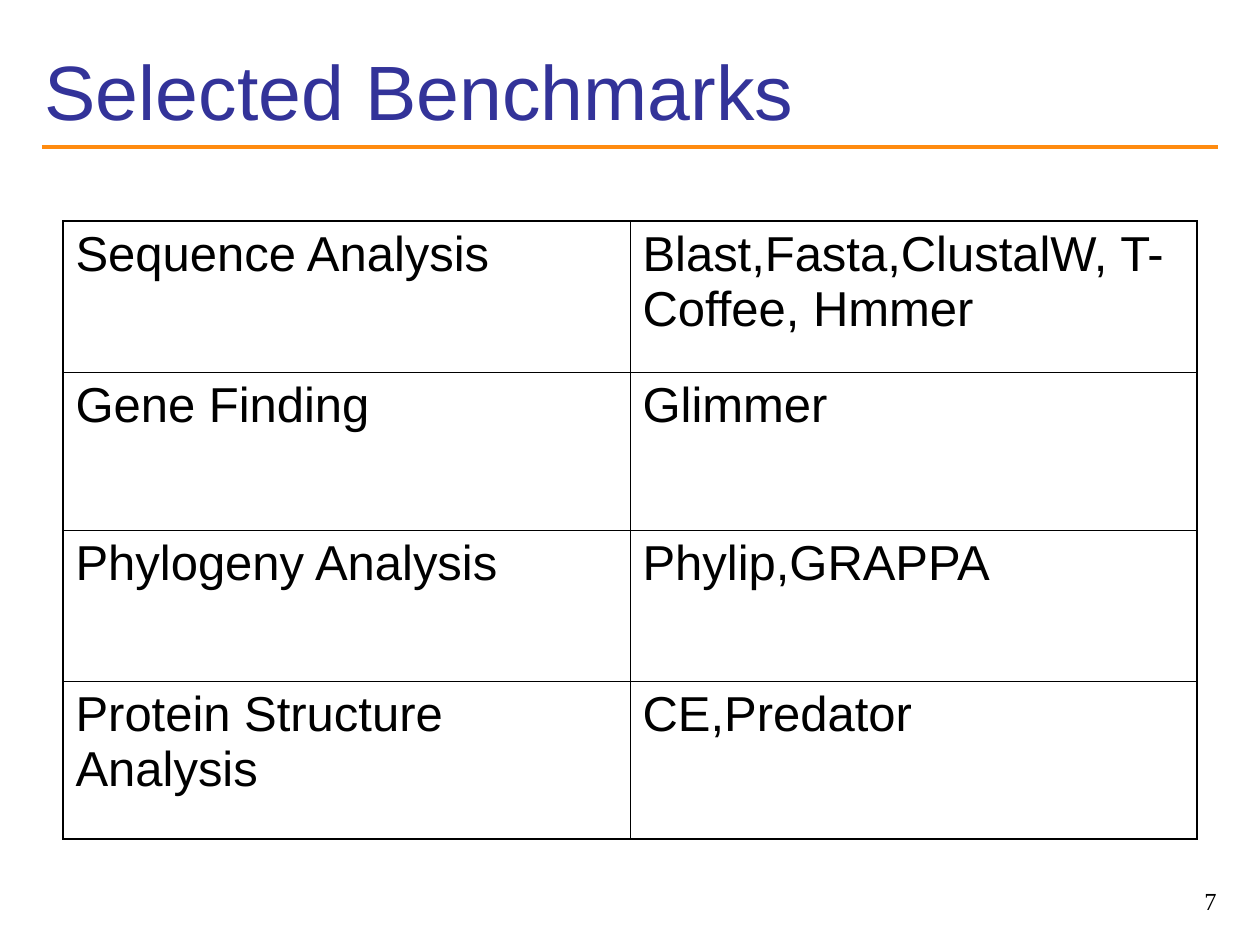
from lxml.etree import SubElement
from pptx import Presentation
from pptx.dml.color import RGBColor
from pptx.enum.shapes import MSO_CONNECTOR
from pptx.enum.text import MSO_ANCHOR, PP_ALIGN
from pptx.oxml.ns import qn
from pptx.util import Emu, Pt

PX_PER_INCH = 126
THIN, THICK = 0.45, 1.08
BENCHMARKS = [
    ("Sequence Analysis", "Blast,Fasta,ClustalW, T-Coffee, Hmmer"),
    ("Gene Finding", "Glimmer"),
    ("Phylogeny Analysis", "Phylip,GRAPPA"),
    ("Protein Structure Analysis", "CE,Predator"),
]


def px(n):
    return Emu(round(n * 914400 / PX_PER_INCH))


def rgb(value):
    return RGBColor.from_string(value)


def write(tf, text, size=28, font="Arial", color="000000",
          align=PP_ALIGN.LEFT, anchor=MSO_ANCHOR.TOP, before=0):
    tf.word_wrap = True
    tf.vertical_anchor = anchor
    p = tf.paragraphs[0]
    p.alignment = align
    p.space_before = Pt(before)
    r = p.add_run()
    r.text = text
    r.font.size = Pt(size)
    r.font.name = font
    r.font.bold = False
    r.font.color.rgb = rgb(color)


def set_borders(cell, widths, color="000000"):
    """Draw the cell's borders; widths are points for left, right, top, bottom."""
    tc_pr = cell._tc.get_or_add_tcPr()
    for side, width in zip("LRTB", widths):
        ln = SubElement(tc_pr, qn(f"a:ln{side}"), w=str(Pt(width)))
        fill = SubElement(ln, qn("a:solidFill"))
        SubElement(fill, qn("a:srgbClr"), val=color)


class SlideBuilder:
    title_color = "333399"
    rule_color = "FF8B0F"

    def __init__(self, prs):
        self.s = prs.slides.add_slide(prs.slide_layouts[5])

    def title(self, text, x, y, w, h):
        sp = self.s.shapes.title
        sp.left, sp.top, sp.width, sp.height = map(px, (x, y, w, h))
        write(sp.text_frame, text, size=44, color=self.title_color,
              anchor=MSO_ANCHOR.MIDDLE)

    def rule(self, x1, x2, y):
        line = self.s.shapes.add_connector(
            MSO_CONNECTOR.STRAIGHT, px(x1), px(y), px(x2), px(y))
        line.line.color.rgb = rgb(self.rule_color)
        line.line.width = Pt(2.25)
        SubElement(line._element.spPr, qn("a:effectLst"))

    def table(self, rows, x, y, col_width, heights):
        n_rows, n_cols = len(rows), len(rows[0])
        table = self.s.shapes.add_table(
            n_rows, n_cols, px(x), px(y),
            px(col_width * n_cols), px(sum(heights))).table
        table.first_row = table.horz_banding = False
        for col in table.columns:
            col.width = px(col_width)
        for i, (texts, height) in enumerate(zip(rows, heights)):
            table.rows[i].height = px(height)
            for j, text in enumerate(texts):
                cell = table.cell(i, j)
                write(cell.text_frame, text, before=7)
                outer = (j == 0, j == n_cols - 1, i == 0, i == n_rows - 1)
                set_borders(cell, [THICK if o else THIN for o in outer])
                cell.fill.background()

    def page_number(self, text, x, y, w, h):
        sp = self.s.shapes.add_textbox(*map(px, (x, y, w, h)))
        write(sp.text_frame, text, size=14, font="Times New Roman",
              align=PP_ALIGN.RIGHT)


def main():
    prs = Presentation()
    prs.slide_width, prs.slide_height = px(1260), px(945)
    slide = SlideBuilder(prs)
    slide.rule(42, 1218, 147)
    slide.title("Selected Benchmarks", 32, 32, 987, 116)
    slide.table(BENCHMARKS, 63, 221, 567, [151, 158, 151, 158])
    slide.page_number("7", 935, 880, 294, 65)
    prs.save("out.pptx")


if __name__ == "__main__":
    main()
